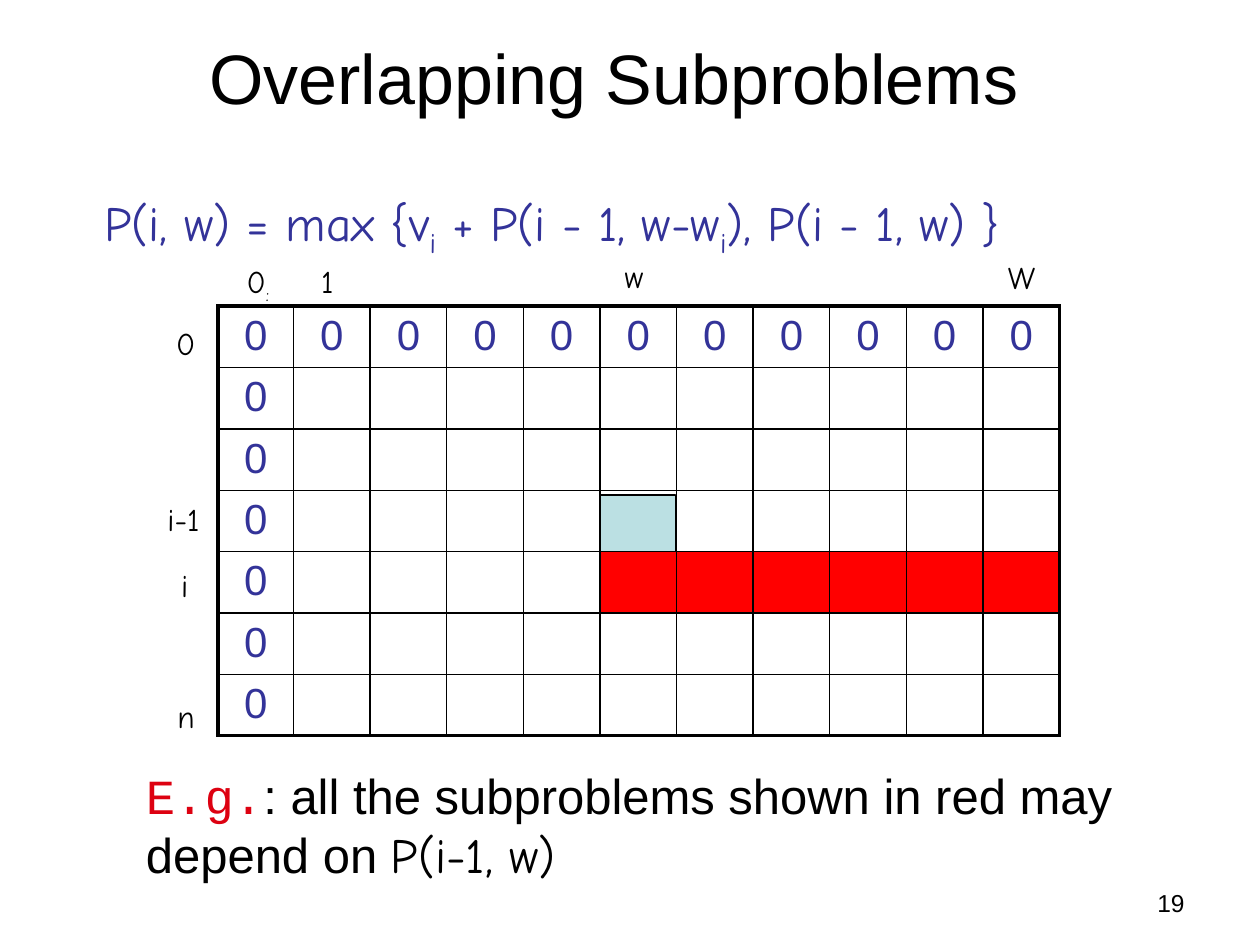
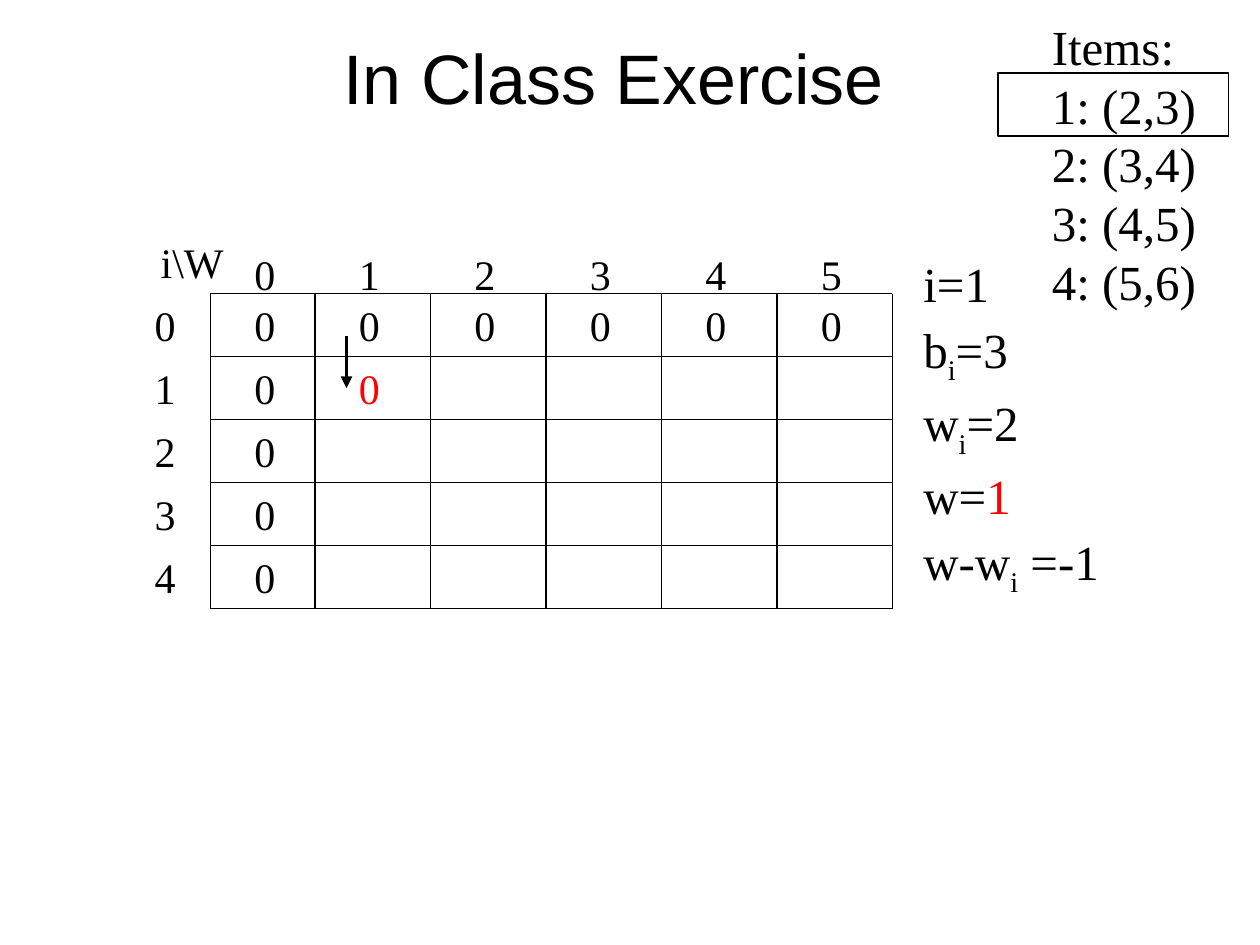
"""Two slides on dynamic programming for the knapsack problem."""
from lxml.etree import SubElement
from pptx import Presentation
from pptx.dml.color import RGBColor
from pptx.enum.shapes import MSO_CONNECTOR, MSO_SHAPE
from pptx.enum.text import MSO_ANCHOR, PP_ALIGN
from pptx.oxml.ns import qn
from pptx.util import Inches, Pt

BLACK = RGBColor(0x00, 0x00, 0x00)
INDIGO = RGBColor(0x33, 0x33, 0x99)
RED = RGBColor(0xFF, 0x00, 0x00)
CRIMSON = RGBColor(0xDD, 0x01, 0x11)
PALE_TEAL = RGBColor(0xBB, 0xE0, 0xE3)

SANS, SERIF, HAND, MONO = "Arial", "Times New Roman", "Comic Neue", "Courier New"

SUB = {"baseline": -25}
SUB_I = ("i", SUB)

OVERLAP_TITLE = "Overlapping Subproblems"
PAGE_NUMBER = "19"
RECURRENCE = ["P(i, w) = max {v", SUB_I, " + P(i - 1, w-w", SUB_I, "), P(i - 1, w) }"]
AXIS_LABELS = [
    (["0", (":", SUB)], 1.86, 2.03, 0.4),
    ("1", 2.45, 2.03, 0.31),
    ("w", 4.86, 1.99, 0.37),
    ("W", 7.9, 2, 0.46),
    ("0", 1.3, 2.52, 0.35),
    ("i-1", 1.23, 3.92, 0.49),
    ("i", 1.34, 4.44, 0.27),
    ("n", 1.31, 5.48, 0.33),
]
SUBPROBLEM_ROWS, SUBPROBLEM_COLUMNS = 7, 11
TABLE_WIDTH, TABLE_HEIGHT, FIRST_COLUMN_WIDTH = 6.68, 3.41, 0.6
DEPENDENT_ROW, DEPENDENT_FROM = 4, 5
EXAMPLE = [
    ("E.g.", {"font": MONO, "color": CRIMSON}),
    (": all the subproblems shown in red may depend on ", {"font": SANS}),
    ("P(i-1, w)", {"font": HAND}),
]

EXERCISE_TITLE = "In Class Exercise"
ITEMS = ["Items:", "1: (2,3)", "2: (3,4)", "3: (4,5)", "4: (5,6)"]
CURRENT_STEP = [
    "i=1",
    ["b", SUB_I, "=3"],
    ["w", SUB_I, "=2"],
    ["w=", ("1", {"color": RED})],
    ["w-w", SUB_I, " =-1"],
]
CORNER = "i\\W"
WEIGHTS = ["0", "1", "2", "3", "4", "5"]
ITEM_ROWS = [
    ("0", ["0", "0", "0", "0", "0", "0"]),
    ("1", ["0", ("0", {"color": RED})]),
    ("2", ["0"]),
    ("3", ["0"]),
    ("4", ["0"]),
]
GRID_TOP, ROW_HEIGHT = 2.33, 0.5
COLUMN_EDGES = [1.67] + [2.5 + 5.5 / 6 * column for column in range(6)]
ROW_EDGES = [GRID_TOP + ROW_HEIGHT * row for row in range(len(ITEM_ROWS) + 1)]


def style_font(font, name=None, size=None, color=None):
    if name:
        font.name = name
    if size:
        font.size = Pt(size)
    if color is not None:
        font.color.rgb = color


def fill_paragraph(paragraph, runs, font, size, color=BLACK, align=PP_ALIGN.LEFT):
    paragraph.alignment = align
    style_font(paragraph.font, font, size, color)
    for part in runs if isinstance(runs, list) else [runs]:
        text, look = part if isinstance(part, tuple) else (part, {})
        run = paragraph.add_run()
        run.text = text
        style_font(run.font, look.get("font"), color=look.get("color"))
        if "baseline" in look:
            run._r.get_or_add_rPr().set("baseline", str(look["baseline"] * 1000))


def add_text(slide, place, paragraphs, font, size, color=BLACK, align=PP_ALIGN.LEFT,
             wrap=False, anchor=MSO_ANCHOR.TOP, line_spacing=None):
    frame = slide.shapes.add_textbox(*map(Inches, place)).text_frame
    frame.word_wrap = wrap
    frame.vertical_anchor = anchor
    for index, runs in enumerate(paragraphs):
        paragraph = frame.add_paragraph() if index else frame.paragraphs[0]
        if line_spacing:
            paragraph.line_spacing = line_spacing
        fill_paragraph(paragraph, runs, font, size, color, align)


def add_title(slide, title):
    add_text(slide, (0.37, 0.11, 9, 0.99), [title], SANS, 40,
             align=PP_ALIGN.CENTER, wrap=True, anchor=MSO_ANCHOR.MIDDLE)


def add_box(slide, place, color=None):
    box = slide.shapes.add_shape(MSO_SHAPE.RECTANGLE, *map(Inches, place))
    box.shadow.inherit = False
    if color is None:
        box.fill.background()
    else:
        box.fill.solid()
        box.fill.fore_color.rgb = color
    box.line.color.rgb = BLACK
    box.line.width = Pt(0.75)


def add_line(slide, start, end, width=0.75, arrow=False):
    line = slide.shapes.add_connector(MSO_CONNECTOR.STRAIGHT, *map(Inches, start + end))
    line.line.color.rgb = BLACK
    line.line.width = Pt(width)
    if arrow:
        SubElement(line.line._get_or_add_ln(), qn("a:tailEnd"), type="triangle")
    SubElement(line._element.spPr, qn("a:effectLst"))


def add_borders(cell, outer_sides):
    properties = cell._tc.get_or_add_tcPr()
    for side in "LRTB":
        width = Pt(2.25 if side in outer_sides else 1)
        border = SubElement(properties, qn(f"a:ln{side}"), w=str(width))
        SubElement(SubElement(border, qn("a:solidFill")), qn("a:srgbClr"), val=str(BLACK))


def add_subproblem_table(slide):
    table = slide.shapes.add_table(SUBPROBLEM_ROWS, SUBPROBLEM_COLUMNS, Inches(1.73),
                                   Inches(2.43), Inches(TABLE_WIDTH),
                                   Inches(TABLE_HEIGHT)).table
    table.first_row = table.horz_banding = False
    other_width = (TABLE_WIDTH - FIRST_COLUMN_WIDTH) / (SUBPROBLEM_COLUMNS - 1)
    for index, column in enumerate(table.columns):
        column.width = Inches(other_width if index else FIRST_COLUMN_WIDTH)
    for row in range(SUBPROBLEM_ROWS):
        for column in range(SUBPROBLEM_COLUMNS):
            cell = table.cell(row, column)
            cell.margin_bottom = Inches(0.02)
            edges = {"L": column == 0, "R": column == SUBPROBLEM_COLUMNS - 1,
                     "T": row == 0, "B": row == SUBPROBLEM_ROWS - 1}
            add_borders(cell, [side for side, outer in edges.items() if outer])
            if row == DEPENDENT_ROW and column >= DEPENDENT_FROM:
                cell.fill.solid()
                cell.fill.fore_color.rgb = RED
            else:
                cell.fill.background()
            if row == 0 or column == 0:
                fill_paragraph(cell.text_frame.paragraphs[0], "0", SANS, 24, INDIGO,
                               PP_ALIGN.CENTER)


def build_overlap_slide(slide):
    add_text(slide, (7.17, 7, 2.33, 0.35), [PAGE_NUMBER], SANS, 14,
             align=PP_ALIGN.RIGHT, wrap=True)
    add_title(slide, OVERLAP_TITLE)
    add_box(slide, (4.76, 3.93, 0.6, 0.5), PALE_TEAL)
    add_subproblem_table(slide)
    for label, left, top, width in AXIS_LABELS:
        add_text(slide, (left, top, width, 0.4), [label], HAND, 18)
    add_text(slide, (0.73, 1.48, 8.62, 0.79), [RECURRENCE], HAND, 28, INDIGO, wrap=True)
    add_text(slide, (1.06, 6.03, 7.97, 1.03), [EXAMPLE], None, 28, wrap=True)


def add_number(slide, left, top, number):
    add_text(slide, (left, top, 0.37, 0.5), [number], SERIF, 24)


def build_exercise_slide(slide):
    add_title(slide, EXERCISE_TITLE)
    add_text(slide, (8.25, 0.08, 1.44, 2.44), ITEMS, SERIF, 28)
    add_box(slide, (7.92, 0.58, 1.83, 0.5))
    add_text(slide, (7.23, 1.92, 1.61, 2.67), CURRENT_STEP, SERIF, 28, wrap=True,
             line_spacing=1.1)
    for x in COLUMN_EDGES:
        add_line(slide, (x, ROW_EDGES[0]), (x, ROW_EDGES[-1]))
    for y in ROW_EDGES:
        add_line(slide, (COLUMN_EDGES[0], y), (COLUMN_EDGES[-1], y))
    add_text(slide, (1.15, 1.83, 0.75, 0.5), [CORNER], SERIF, 24,
             align=PP_ALIGN.CENTER, wrap=True)
    for x, weight in zip(COLUMN_EDGES, WEIGHTS):
        add_number(slide, x + 0.25, 1.92, weight)
    for y, (item, values) in zip(ROW_EDGES, ITEM_ROWS):
        add_number(slide, 1.13, y, item)
        for x, value in zip(COLUMN_EDGES, values):
            add_number(slide, x + 0.25, y, [value])
    add_line(slide, (2.75, 2.67), (2.75, 3.08), width=2.25, arrow=True)


def main():
    deck = Presentation()
    deck.slide_width, deck.slide_height = Inches(10), Inches(7.5)
    for build in (build_overlap_slide, build_exercise_slide):
        build(deck.slides.add_slide(deck.slide_layouts[6]))
    deck.save("out.pptx")


if __name__ == "__main__":
    main()
